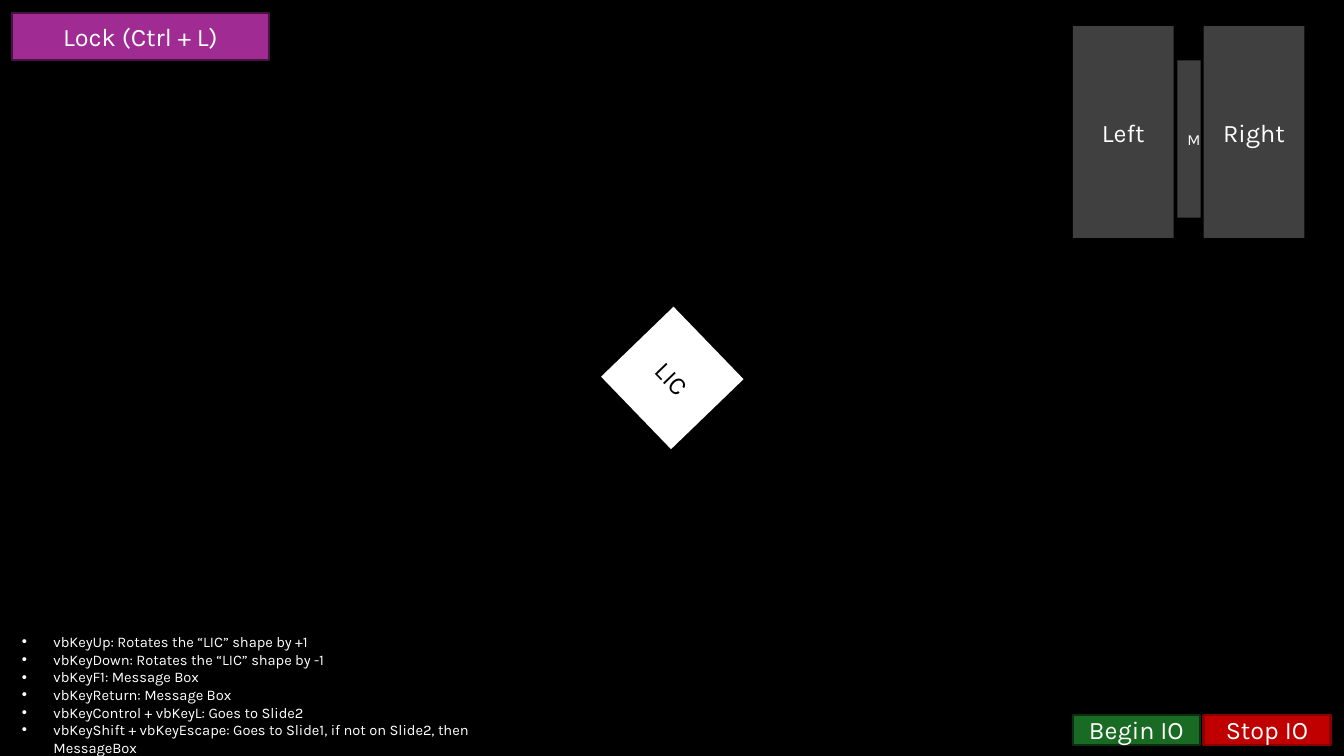
from dataclasses import dataclass

from lxml import etree
from pptx import Presentation
from pptx import util as u
from pptx.dml import color
from pptx.enum import shapes, text
from pptx.oxml import ns


@dataclass(frozen=True)
class Theme:
    font: str = "Karla"
    black: str = "000000"
    white: str = "FFFFFF"
    grey: str = "404040"
    green: str = "196B24"
    green_edge: str = "0B2F10"
    red: str = "C00000"
    red_edge: str = "860000"
    purple: str = "A02B93"
    purple_edge: str = "461340"
    label_size: float = 18
    small_size: float = 11
    note_size: float = 10.5
    edge_width: float = 1.5


THEME = Theme()

KEY_NOTES = [
    "vbKeyUp: Rotates the “LIC” shape by +1",
    "vbKeyDown: Rotates the “LIC” shape by -1",
    "vbKeyF1: Message Box",
    "vbKeyReturn: Message Box",
    "vbKeyControl + vbKeyL: Goes to Slide2",
    "vbKeyShift + vbKeyEscape: Goes to Slide1, if not on Slide2, then MessageBox",
]


def rgb(value):
    return color.RGBColor.from_string(value)


def apply_format(target, values):
    for name, value in values.items():
        setattr(target, name, value)


def paint(fill, value):
    fill.solid()
    fill.fore_color.rgb = rgb(value)


def add_span(para, words, size, ink):
    span = para.add_run()
    span.text = words
    apply_format(span.font, {"name": THEME.font, "size": u.Pt(size)})
    span.font.color.rgb = rgb(ink)


def add_block(page, place, words, fill, edge=None, size=THEME.label_size,
              ink=THEME.white, rotation=0):
    block = page.shapes.add_shape(
        shapes.MSO_SHAPE.RECTANGLE, *[u.Pt(length) for length in place])
    block.shadow.inherit = False
    block.rotation = rotation
    paint(block.fill, fill)
    if edge:
        paint(block.line.fill, edge)
        block.line.width = u.Pt(THEME.edge_width)
    else:
        block.line.fill.background()
    block.text_frame.vertical_anchor = text.MSO_ANCHOR.MIDDLE
    para = block.text_frame.paragraphs[0]
    para.alignment = text.PP_ALIGN.CENTER
    add_span(para, words, size, ink)


def add_bullet(para, indent):
    props = para._p.get_or_add_pPr()
    props.set("marL", str(u.Pt(indent)))
    props.set("indent", str(-u.Pt(indent)))
    etree.SubElement(props, ns.qn("a:buFont")).set("typeface", "Arial")
    etree.SubElement(props, ns.qn("a:buChar")).set("char", "•")


def add_notes(page, place, notes):
    box = page.shapes.add_textbox(*[u.Pt(length) for length in place])
    frame = box.text_frame
    apply_format(frame, {"word_wrap": True,
                         "auto_size": text.MSO_AUTO_SIZE.SHAPE_TO_FIT_TEXT})
    for index, note in enumerate(notes):
        para = frame.add_paragraph() if index else frame.paragraphs[0]
        add_bullet(para, 22.5)
        add_span(para, note, THEME.note_size, THEME.white)


def main():
    deck = Presentation()
    apply_format(deck, {"slide_width": u.Pt(960), "slide_height": u.Pt(540)})
    page = deck.slides.add_slide(deck.slide_layouts[6])
    paint(page.background.fill, THEME.black)

    add_block(page, (444.2, 234, 72, 72), "LIC", THEME.white,
              ink=THEME.black, rotation=46)

    left, right = 766.4, 859.7
    buttons = [(left, "Begin IO", THEME.green, THEME.green_edge),
               (right, "Stop IO", THEME.red, THEME.red_edge)]
    for x, words, fill, edge in buttons:
        add_block(page, (x, 510.5, 90.7, 21.6), words, fill, edge)
    add_block(page, (8.6, 9.4, 183.6, 33.8), "Lock (Ctrl + L)",
              THEME.purple, THEME.purple_edge)

    for x, words in [(left, "Left"), (right, "Right")]:
        add_block(page, (x, 18.7, 72, 151.2), words, THEME.grey)
    add_block(page, (841, 43.2, 16.6, 112.3), "M", THEME.grey,
              size=THEME.small_size)

    add_notes(page, (8.6, 448.6, 375.1, 83.5), KEY_NOTES)
    deck.save("out.pptx")


if __name__ == "__main__":
    main()
